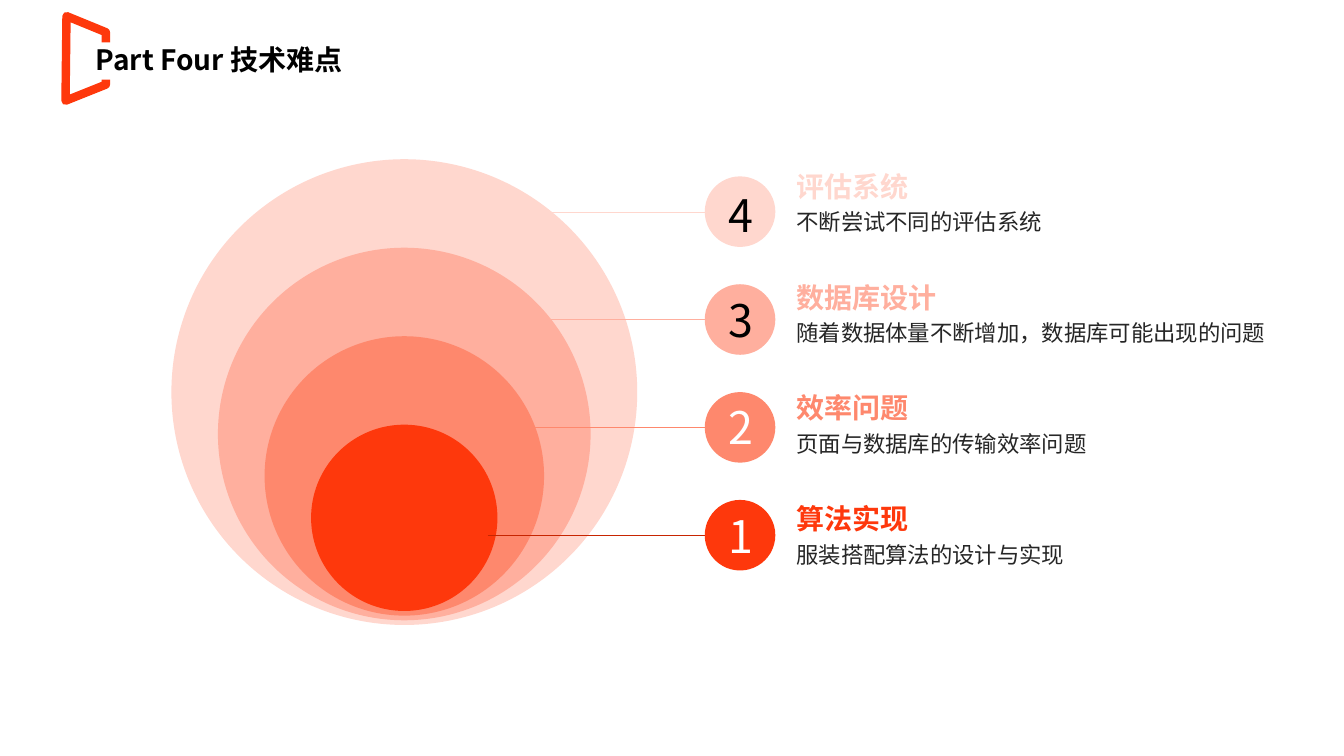
from dataclasses import dataclass

from lxml import etree
from pptx import Presentation
from pptx.dml.color import RGBColor
from pptx.enum.shapes import MSO_CONNECTOR, MSO_SHAPE
from pptx.enum.text import MSO_ANCHOR, MSO_AUTO_SIZE, PP_ALIGN
from pptx.oxml.ns import qn
from pptx.util import Inches, Pt

OVAL = MSO_SHAPE.OVAL
STRAIGHT = MSO_CONNECTOR.STRAIGHT
LEFT, CENTER = PP_ALIGN.LEFT, PP_ALIGN.CENTER
TOP, MIDDLE = MSO_ANCHOR.TOP, MSO_ANCHOR.MIDDLE
NO_FIT = MSO_AUTO_SIZE.NONE

FONT = "Noto Sans CJK SC"
RED, BLACK, WHITE, GRAY = "FE380C", "000000", "FFFFFF", "262626"
TITLE = {"size": Pt(20), "bold": True}
BODY = {"size": Pt(16), "bold": False}
DIGIT = {"size": Pt(32), "bold": False}

RING_MID, RING_BASE, RING_SIZE = 4.01, 6.2, 4.62
DOT_LEFT, DOT_TOP, DOT_SIZE, DOT_STEP = 6.99, 1.75, 0.7, 1.07
TEXT_LEFT, HEAD_TOP, BODY_TOP, TEXT_STEP = 7.8, 1.63, 1.94, 1.1
BRACKET = [(1.05, 0.42), (1.05, 0.32), (0.66, 0.16),
           (0.65, 1), (1.05, 0.84), (1.05, 0.79)]


@dataclass
class Level:
    digit: str
    head: str
    body: str
    fill: str
    line: str
    ink: str
    start: float
    digit_top: float
    head_width: float


LEVELS = [
    Level("4", "评估系统", "不断尝试不同的评估系统",
          "FFD7CE", "FFD7CE", BLACK, 5.47, 1.81, 1.32),
    Level("3", "数据库设计", "随着数据体量不断增加，数据库可能出现的问题",
          "FFAF9E", "FFAF9E", BLACK, 5.44, 2.85, 1.6),
    Level("2", "效率问题", "页面与数据库的传输效率问题",
          "FE886D", "FE886D", WHITE, 5.28, 3.92, 1.32),
    Level("1", "算法实现", "服装搭配算法的设计与实现",
          RED, "C72501", WHITE, 4.84, 5, 1.32),
]


def rgb(code: str) -> RGBColor:
    return RGBColor.from_string(code)


def write(shape, text: str, color: str, style: dict, align=LEFT,
          anchor=TOP, wrap: bool = False, space: float = 1) -> None:
    frame = shape.text_frame
    form = {"auto_size": NO_FIT, "word_wrap": wrap, "vertical_anchor": anchor}
    for name, value in form.items():
        setattr(frame, name, value)
    para = frame.paragraphs[0]
    para.alignment, para.line_spacing = align, space
    run = para.add_run()
    run.text = text
    for name, value in {"name": FONT, **style}.items():
        setattr(run.font, name, value)
    run.font.color.rgb = rgb(color)
    east = etree.SubElement(run.font._element, qn("a:ea"))
    east.set("typeface", FONT)


def add_text(slide, box: tuple, *args, **form) -> None:
    shape = slide.shapes.add_textbox(*map(Inches, box))
    write(shape, *args, **form)


def add_disc(slide, left: float, top: float, size: float, fill: str) -> None:
    disc = slide.shapes.add_shape(
        OVAL, Inches(left), Inches(top), Inches(size), Inches(size))
    disc.shadow.inherit = False
    disc.fill.solid()
    disc.fill.fore_color.rgb = rgb(fill)
    disc.line.fill.background()


def add_line(slide, start: float, end: float, y: float, color: str) -> None:
    line = slide.shapes.add_connector(
        STRAIGHT, Inches(start), Inches(y), Inches(end), Inches(y))
    line.line.color.rgb = rgb(color)
    line.line.width = Pt(0.25)
    etree.SubElement(line._element.spPr, qn("a:effectLst"))


def add_bracket(slide) -> None:
    points = [(Inches(x), Inches(y)) for x, y in BRACKET]
    pen = slide.shapes.build_freeform(*points[0])
    pen.add_line_segments(points[1:], close=False)
    shape = pen.convert_to_shape()
    shape.shadow.inherit = False
    shape.fill.background()
    shape.line.color.rgb = rgb(RED)
    shape.line.width = Pt(6)


def add_title(slide) -> None:
    title = slide.shapes.title
    box = {"left": 0.85, "top": 0.42, "width": 3.2, "height": 0.37}
    for name, value in box.items():
        setattr(title, name, Inches(value))
    write(title, "Part Four 技术难点", BLACK, TITLE,
          anchor=MIDDLE, wrap=True, space=0.9)


def add_ring(slide, index: int, level: Level) -> None:
    size = RING_SIZE * (1 - 0.2 * index)
    base = RING_BASE - 0.05 * (RING_SIZE - size)
    add_disc(slide, RING_MID - size / 2, base - size, size, level.fill)


def add_level(slide, index: int, level: Level) -> None:
    """Draw the lead line, numbered dot and text of one ring."""
    top = DOT_TOP + DOT_STEP * index
    shift = TEXT_STEP * index
    add_line(slide, level.start, DOT_LEFT, top + DOT_SIZE / 2, level.line)
    add_disc(slide, DOT_LEFT, top, DOT_SIZE, level.fill)
    add_text(slide, (7.12, level.digit_top, 0.46, 0.64),
             level.digit, level.ink, DIGIT, align=CENTER)
    add_text(slide, (TEXT_LEFT, HEAD_TOP + shift, level.head_width, 0.44),
             level.head, level.fill, TITLE)
    add_text(slide, (TEXT_LEFT, BODY_TOP + shift, 4.88, 0.45),
             level.body, GRAY, BODY, wrap=True, space=1.3)


def main() -> None:
    deck = Presentation()
    deck.slide_width, deck.slide_height = Inches(13.33), Inches(7.5)
    slide = deck.slides.add_slide(deck.slide_layouts[5])
    add_title(slide)
    add_bracket(slide)
    for draw in (add_ring, add_level):
        for index, level in enumerate(LEVELS):
            draw(slide, index, level)
    deck.save("out.pptx")


if __name__ == "__main__":
    main()
